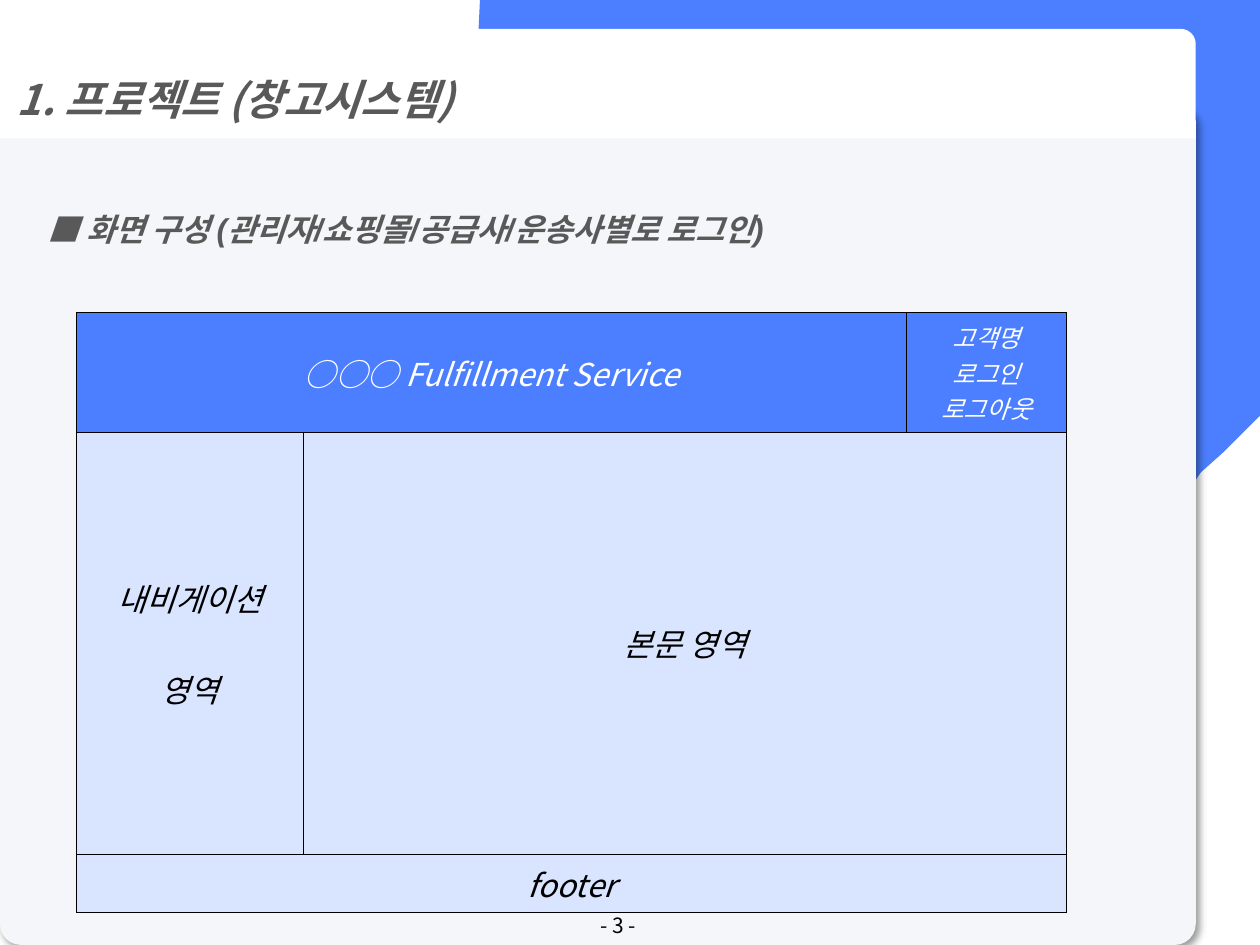
"""Build a slide showing the screen layout of a warehouse system."""
from dataclasses import dataclass

from lxml.etree import SubElement
from pptx import Presentation
from pptx.dml.color import RGBColor as RGB
from pptx.enum.shapes import MSO_SHAPE as SHAPE
from pptx.enum.text import MSO_ANCHOR as ANCHOR, MSO_AUTO_SIZE as FIT, PP_ALIGN as ALIGN
from pptx.oxml.ns import qn
from pptx.util import Pt


@dataclass(frozen=True)
class Theme:
    """Colours, fonts and type sizes."""
    blue: str = "4B7FFF"
    pale: str = "D9E4FF"
    panel: str = "F5F6F9"
    white: str = "FFFFFF"
    black: str = "000000"
    grey: str = "595959"
    font: str = "Noto Sans CJK KR"
    latin: str = "Arial"
    title: int = 24
    body: int = 18
    small: int = 14
    page: int = 12


T = Theme()


def add_xml(parent, tag, **attrs):
    """Append a DrawingML element."""
    return SubElement(parent, qn(f"a:{tag}"), attrs)


def paint(sp, color):
    """Give a shape a flat fill with no line or shadow."""
    sp.shadow.inherit = False
    sp.fill.solid()
    sp.fill.fore_color.rgb = RGB.from_string(color)
    sp.line.fill.background()


def write(tf, text, size=T.body, color=T.black, font=T.font, bold=False,
          italic=True, align=ALIGN.LEFT, spacing=None, gap=0):
    """Write text, one paragraph a line, in one format."""
    for i, line in enumerate(text.split("\n")):
        p = tf.add_paragraph() if i else tf.paragraphs[0]
        p.alignment = align
        if spacing:
            p.line_spacing = spacing
        if i and gap:
            p.space_before = Pt(gap)
        r = p.add_run()
        r.text = line
        f = r.font
        f.size, f.bold, f.italic, f.name = Pt(size), bold, italic, font
        f.color.rgb = RGB.from_string(color)
        add_xml(r._r.get_or_add_rPr(), "ea", typeface=T.font)


def curve(a, b, c, d, steps=16):
    """Return points along a cubic curve, without its start."""
    def at(t):
        u = 1 - t
        weights = (u ** 3, 3 * u * u * t, 3 * u * t * t, t ** 3)
        return tuple(sum(w * q[k] for w, q in zip(weights, (a, b, c, d))) for k in (0, 1))
    return [at(i / steps) for i in range(1, steps + 1)]


def add_backdrop(s, width):
    """Draw the blue corner form, measured from the right edge."""
    outline = [
        [(0, 0)], [(0, 237.6)], [(-20.2, 257.8)], [(-33.8, 270)], [(-36.7, 274.3)],
        [(-40.3, 278.6), (-43.9, 282.2), (-47.5, 285.8)], [(-257, 494.6)],
        [(-314.6, 551.5), (-404.6, 555.1), (-465.8, 505.4)],
        [(-477.4, 494.6)], [(-488.2, 483.1)],
        [(-537.8, 421.9), (-534.2, 332.6), (-477.4, 275.8)],
        [(-368.6, 167.8)], [(-393.1, 143.3)],
        [(-429.1, 108), (-446.4, 61.9), (-446.4, 15.1)], [(-445.7, 0)],
    ]
    points = []
    for step in outline:
        points += curve(points[-1], *step) if len(step) == 3 else step
    points = [(Pt(width + x), Pt(y)) for x, y in points]
    form = s.shapes.build_freeform(*points[0], scale=1.0)
    form.add_line_segments(points[1:], close=True)
    paint(form.convert_to_shape(), T.blue)


def add_panel(s, x, y, w, h):
    """Draw the shadowed page panel."""
    sp = s.shapes.add_shape(SHAPE.ROUNDED_RECTANGLE, Pt(x), Pt(y), Pt(w), Pt(h))
    sp.adjustments[0] = 0.025
    paint(sp, T.panel)
    effects = sp._element.spPr.find(qn("a:effectLst"))
    shadow = add_xml(effects, "outerShdw", blurRad=str(Pt(4)), dist=str(Pt(3)),
                     dir="2700000", algn="tl", rotWithShape="0")
    add_xml(add_xml(shadow, "srgbClr", val=T.black), "alpha", val="40000")


def add_title(s, x, y, w, h, text):
    """Draw the white title band."""
    sp = s.shapes.add_shape(SHAPE.ROUND_2_SAME_RECTANGLE, Pt(x), Pt(y), Pt(w), Pt(h))
    sp.adjustments[0], sp.adjustments[1] = 0.137, 0
    paint(sp, T.white)
    sp.text_frame.word_wrap = True
    sp.text_frame.vertical_anchor = ANCHOR.MIDDLE
    write(sp.text_frame, text, size=T.title, color=T.grey, bold=True, spacing=1.5)


def add_heading(s, x, y, w, h, text):
    """Place the section heading."""
    tf = s.shapes.add_textbox(Pt(x), Pt(y), Pt(w), Pt(h)).text_frame
    tf.word_wrap = False
    tf.auto_size = FIT.SHAPE_TO_FIT_TEXT
    write(tf, text, color=T.grey, font=T.latin, bold=True, spacing=1.5)


def add_page_number(s, x, y, w, h, text):
    """Place the page number."""
    tf = s.shapes.add_textbox(Pt(x), Pt(y), Pt(w), Pt(h)).text_frame
    tf.word_wrap = True
    tf.vertical_anchor = ANCHOR.MIDDLE
    write(tf, text, size=T.page, italic=False, align=ALIGN.CENTER)


def style_cell(cell, color):
    """Fill a cell and draw its four borders."""
    cell.vertical_anchor = ANCHOR.MIDDLE
    pr = cell._tc.get_or_add_tcPr()
    for side in ("lnL", "lnR", "lnT", "lnB"):
        line = add_xml(pr, side, w=str(Pt(0.5)))
        add_xml(add_xml(line, "solidFill"), "srgbClr", val=T.black)
    cell.fill.solid()
    cell.fill.fore_color.rgb = RGB.from_string(color)


def add_layout_table(s, x, y, cols, rows):
    """Draw the screen layout as a table with merged areas."""
    frame = s.shapes.add_table(len(rows), len(cols), Pt(x), Pt(y),
                               Pt(sum(cols)), Pt(sum(rows)))
    table = frame.table
    table.first_row = table.horz_banding = False
    for col, w in zip(table.columns, cols):
        col.width = Pt(w)
    for row, h in zip(table.rows, rows):
        row.height = Pt(h)
    for i, color in enumerate((T.blue, T.pale, T.pale)):
        for cell in table.rows[i].cells:
            style_cell(cell, color)
    areas = [
        (0, 0, 1, "○○○ Fulfillment Service", dict(color=T.white)),
        (0, 2, 2, "고객명\n로그인\n로그아웃", dict(color=T.white, size=T.small)),
        (1, 0, 0, "내비게이션\n영역", dict(gap=26)),
        (1, 1, 2, "본문 영역", {}),
        (2, 0, 2, "footer", {}),
    ]
    for row, first, last, text, style in areas:
        cell = table.cell(row, first)
        if last > first:
            cell.merge(table.cell(row, last))
        write(cell.text_frame, text, align=ALIGN.CENTER, **style)


def main():
    """Assemble and save the slide."""
    prs = Presentation()
    prs.slide_width, prs.slide_height = Pt(720), Pt(540)
    s = prs.slides.add_slide(prs.slide_layouts[6])
    add_backdrop(s, 720)
    add_panel(s, 0, 59.8, 683.3, 480.2)
    add_title(s, 0, 16.5, 683.3, 62.6, "1. 프로젝트 (창고시스템)")
    add_layout_table(s, 43.7, 178.5, (129.6, 344.7, 91.4), (60.5, 241.2, 28.1))
    add_heading(s, 20.2, 105.8, 495.4, 40.3,
                "■ 화면 구성 (관리자/쇼핑몰/공급사/운송사별로 로그인)")
    add_page_number(s, 269.3, 519.1, 167.8, 18.7, "- 3 -")
    prs.save("out.pptx")


main()
